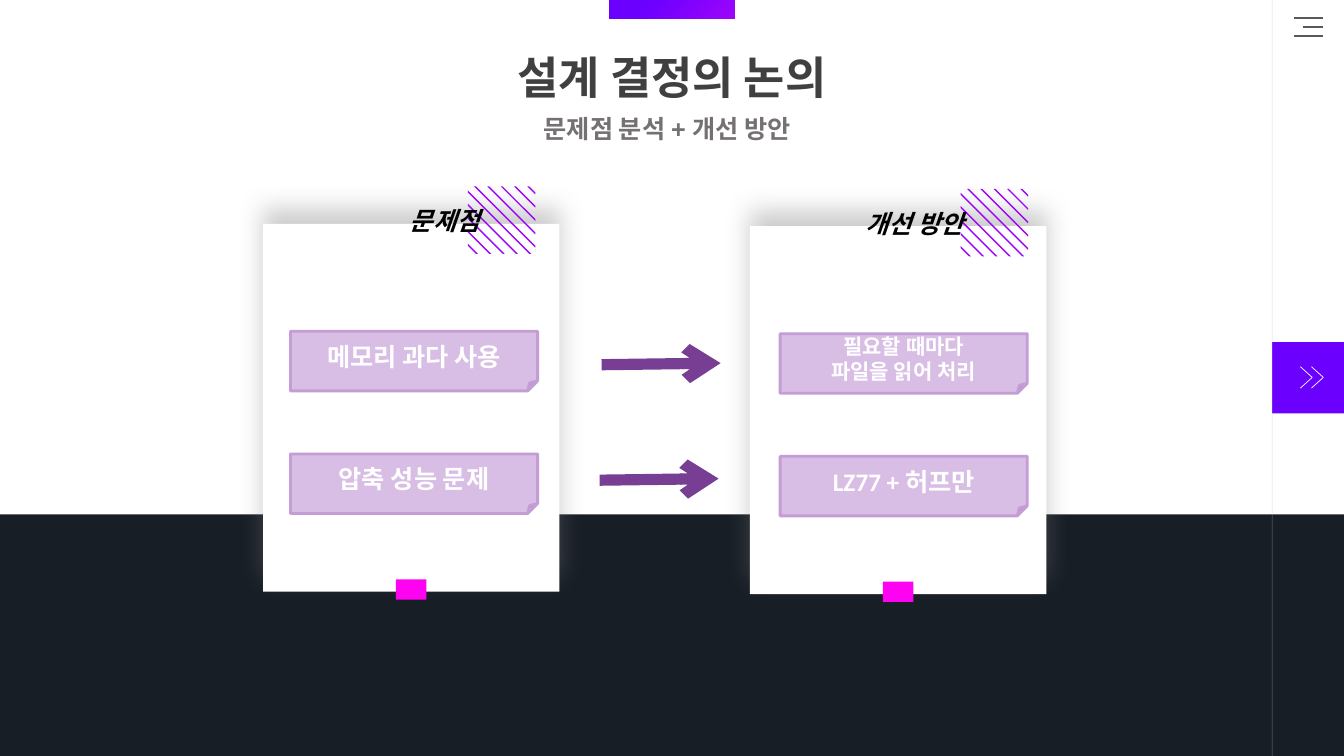
"""Build the slide that sets design problems beside their improvements."""
from dataclasses import dataclass

from lxml.etree import SubElement as Sub
from pptx import Presentation
from pptx.dml.color import RGBColor as Rgb
from pptx.enum.shapes import MSO_CONNECTOR as Link, MSO_SHAPE as Kind
from pptx.enum.text import MSO_ANCHOR as Anchor, MSO_AUTO_SIZE as Fit, PP_ALIGN as Align
from pptx.oxml.ns import qn
from pptx.shapes.autoshape import Shape
from pptx.shapes.connector import Connector
from pptx.slide import Slide
from pptx.text.text import TextFrame
from pptx.util import Cm, Pt


@dataclass(frozen=True)
class Theme:
    """Colours, fonts and type sizes."""
    white: str = "FFFFFF"
    black: str = "000000"
    dark: str = "181E26"
    violet: str = "6C00FF"
    purple: str = "9D05FB"
    pink: str = "FD03F1"
    lilac: str = "D8BEE4"
    edge: str = "C49DD6"
    plum: str = "783E94"
    title: str = "404040"
    sub: str = "767171"
    menu: str = "595959"
    rule: str = "BFBFBF"
    shade: str = "808080"
    head_font: str = "Arial"
    body_font: str = "Calibri"
    large: float = 32
    mid: float = 18
    small: float = 15


@dataclass(frozen=True)
class Box:
    """A place in centimetres."""
    x: float
    y: float
    w: float
    h: float


@dataclass(frozen=True)
class Style:
    """The look of a text."""
    size: float
    color: str
    font: str
    align: Align = Align.CENTER
    slant: bool = False


@dataclass(frozen=True)
class Note:
    """A folded note in a card."""
    lines: tuple[str, ...]
    size: float


@dataclass(frozen=True)
class Card:
    """A card with its label, hatch and notes."""
    x: float
    y: float
    label: str
    label_x: float
    label_w: float
    hatch_x: float
    note_x: float
    notes: tuple[Note, ...]


@dataclass(frozen=True)
class Stroke:
    """A straight line in centimetres."""
    x1: float
    y1: float
    x2: float
    y2: float
    color: str
    width: float


THEME = Theme()
WIDE, HIGH = 33.87, 19.05
RAIL = 32.06
CARDS = (
    Card(6.63, 5.64, "문제점", 10.08, 2.64, 11.79, 7.32,
         (Note(("메모리 과다 사용",), THEME.mid), Note(("압축 성능 문제",), THEME.mid))),
    Card(18.9, 5.7, "개선 방안", 21.56, 3.58, 24.21, 19.66,
         (Note(("필요할 때마다", "파일을 읽어 처리"), THEME.small),
          Note(("LZ77 + 허프만",), THEME.mid))),
)
STROKES = (
    *(Stroke(x, 0.45 + 0.23 * i, 33.35, 0.45 + 0.23 * i, THEME.menu, 1.75)
      for i, x in enumerate((32.61, 32.84, 32.61))),
    *(Stroke(x, y, x + 0.3, 9.51, THEME.white, 0.5)
      for x in (32.77, 33.05) for y in (9.24, 9.78)),
)
ARROWS = (
    Stroke(15.16, 9.19, 18.16, 9.15, THEME.plum, 8),
    Stroke(15.11, 12.1, 18.11, 12.06, THEME.plum, 8),
)


def place(box: Box) -> tuple[Cm, Cm, Cm, Cm]:
    """Turn a box into lengths."""
    return Cm(box.x), Cm(box.y), Cm(box.w), Cm(box.h)


def block(slide: Slide, box: Box, color: str, kind: Kind = Kind.RECTANGLE) -> Shape:
    """Draw a flat shape without an outline."""
    shape = slide.shapes.add_shape(kind, *place(box))
    shape.shadow.inherit = False
    shape.fill.solid()
    shape.fill.fore_color.rgb = Rgb.from_string(color)
    shape.line.fill.background()
    return shape


def write(frame: TextFrame, lines: tuple[str, ...], style: Style) -> None:
    """Write bold lines, one paragraph each."""
    for i, line in enumerate(lines):
        para = frame.add_paragraph() if i else frame.paragraphs[0]
        para.alignment = style.align
        run = para.add_run()
        run.text = line
        font = run.font
        font.name, font.size, font.bold = style.font, Pt(style.size), True
        font.italic = style.slant
        font.color.rgb = Rgb.from_string(style.color)


def caption(slide: Slide, box: Box, text: str, style: Style, wrap: bool = True) -> None:
    """Add a one-line text box."""
    frame = slide.shapes.add_textbox(*place(box)).text_frame
    frame.word_wrap, frame.auto_size = wrap, Fit.SHAPE_TO_FIT_TEXT
    write(frame, (text,), style)


def draw(slide: Slide, stroke: Stroke) -> Connector:
    """Draw a line without a shadow."""
    line = slide.shapes.add_connector(
        Link.STRAIGHT, Cm(stroke.x1), Cm(stroke.y1), Cm(stroke.x2), Cm(stroke.y2))
    line.line.width = Pt(stroke.width)
    line.line.color.rgb = Rgb.from_string(stroke.color)
    Sub(line._element.spPr, qn("a:effectLst"))
    return line


def shade(shape: Shape) -> None:
    """Cast a soft shadow upwards."""
    effects = shape._element.spPr.find(qn("a:effectLst"))
    outer = Sub(effects, qn("a:outerShdw"), blurRad=str(Pt(18)), dist=str(Pt(11)),
                dir="16200000", algn="b", rotWithShape="0")
    color = Sub(outer, qn("a:srgbClr"), val=THEME.shade)
    Sub(color, qn("a:alpha"), val="40000")


def hatch(slide: Slide, x: float, y: float) -> None:
    """Draw a square of slanted stripes."""
    side, step, thick = 1.7, 0.335, 0.05
    stripes = []
    for i in range(5):
        low, top = 0.26 + step * i, 0.15 + step * i
        stripes.append(((0, side - low), (low, side), (low - thick, side),
                        (0, side - low + thick)))
        stripes.append(((side - top - thick, 0), (side - top, 0), (side, top),
                        (side, top + thick)))
    paths = [[(Cm(x + a), Cm(y + b)) for a, b in stripe] for stripe in stripes]
    pen = slide.shapes.build_freeform(*paths[0][0])
    for i, points in enumerate(paths):
        if i:
            pen.move_to(*points[0])
        pen.add_line_segments(points[1:], close=True)
    shape = pen.convert_to_shape()
    shape.shadow.inherit = False
    shape.fill.solid()
    shape.fill.fore_color.rgb = Rgb.from_string(THEME.purple)
    shape.line.fill.background()


def show(slide: Slide, card: Card) -> None:
    """Draw a card and all it holds."""
    shade(block(slide, Box(card.x, card.y, 7.47, 9.27), THEME.white))
    hatch(slide, card.hatch_x, card.y - 0.94)
    block(slide, Box(card.x + 3.35, card.y + 8.96, 0.77, 0.51), THEME.pink)
    caption(slide, Box(card.label_x, card.y - 0.58, card.label_w, 0.99), card.label,
            Style(THEME.mid, THEME.black, THEME.body_font, Align.LEFT, True))
    for i, note in enumerate(card.notes):
        box = Box(card.note_x, card.y + 2.71 + 3.09 * i, 6.23, 1.5)
        shape = block(slide, box, THEME.lilac, Kind.FOLDED_CORNER)
        shape.line.color.rgb = Rgb.from_string(THEME.edge)
        shape.line.width = Pt(2)
        shape.text_frame.vertical_anchor = Anchor.MIDDLE
        write(shape.text_frame, note.lines, Style(note.size, THEME.white, THEME.body_font))


def main() -> None:
    """Build and save the slide."""
    deck = Presentation()
    deck.slide_width, deck.slide_height = Cm(WIDE), Cm(HIGH)
    slide = deck.slides.add_slide(deck.slide_layouts[5])
    title = slide.shapes.title
    title.left, title.top, title.width, title.height = place(Box(12.07, 1.12, 9.73, 1.6))
    frame = title.text_frame
    frame.word_wrap, frame.auto_size = True, Fit.SHAPE_TO_FIT_TEXT
    frame.vertical_anchor = Anchor.TOP
    write(frame, ("설계 결정의 논의",), Style(THEME.large, THEME.title, THEME.head_font))
    block(slide, Box(0, 12.96, WIDE, HIGH - 12.96), THEME.dark)
    block(slide, Box(RAIL, 8.62, WIDE - RAIL, 1.8), THEME.violet)
    for stroke in STROKES:
        draw(slide, stroke)
    rail = draw(slide, Stroke(RAIL, 0, RAIL, HIGH, THEME.rule, 0.5))
    Sub(rail._element.spPr.find(".//" + qn("a:srgbClr")), qn("a:alpha"), val="29000")
    tab = block(slide, Box(15.34, 0, 3.18, 0.47), THEME.violet)
    tab.fill.gradient()
    tab.fill.gradient_angle = 315
    for stop, color, spot in zip(tab.fill.gradient_stops, (THEME.violet, THEME.purple), (0.32, 1)):
        stop.color.rgb, stop.position = Rgb.from_string(color), spot
    caption(slide, Box(13.16, 2.72, 7.32, 1.02), "문제점 분석 + 개선 방안",
            Style(THEME.mid, THEME.sub, THEME.head_font), False)
    for card in CARDS:
        show(slide, card)
    for arrow in ARROWS:
        Sub(draw(slide, arrow).line._ln, qn("a:tailEnd"), type="arrow")
    deck.save("out.pptx")


if __name__ == "__main__":
    main()
